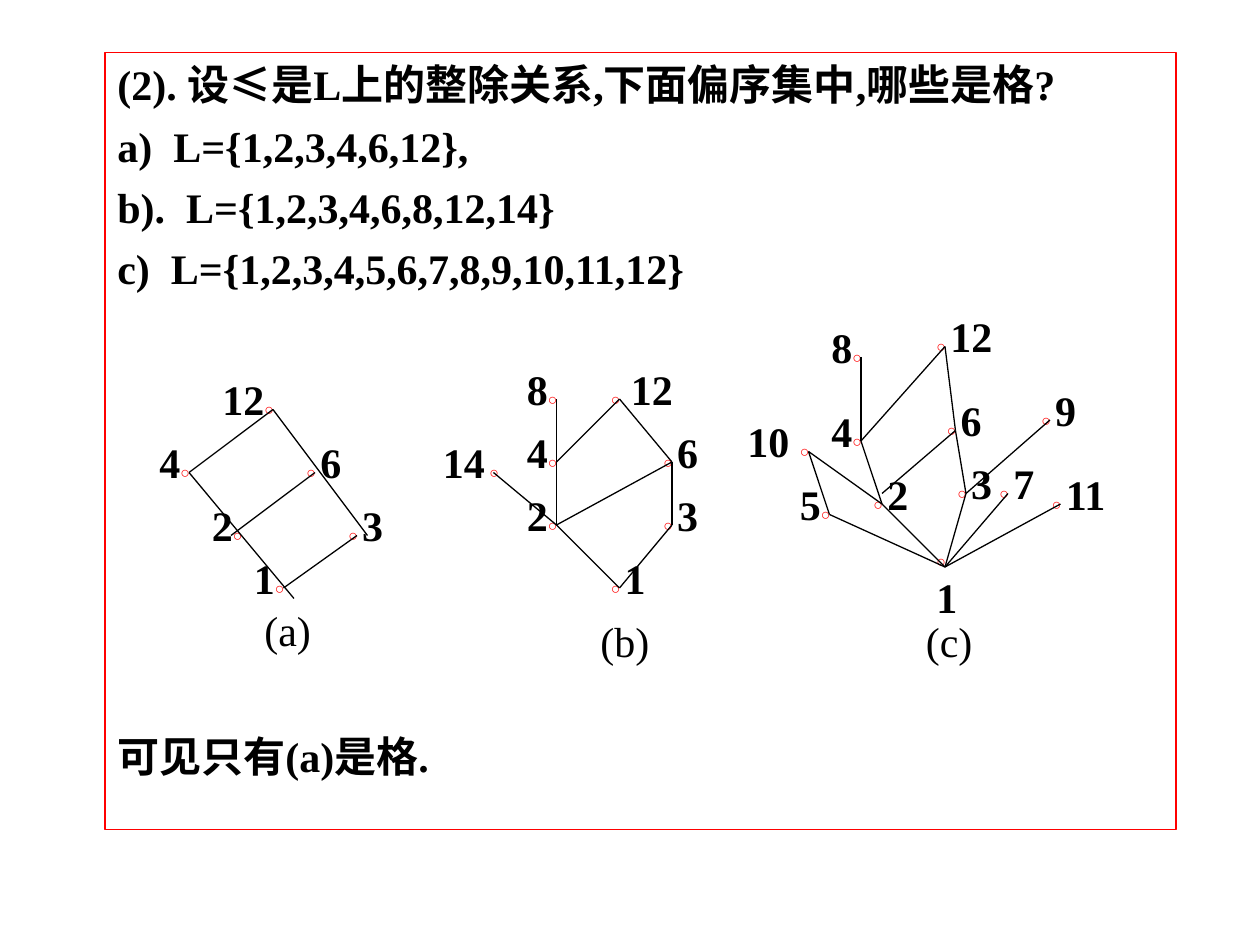
from lxml.etree import SubElement
from pptx import Presentation
from pptx.dml.color import RGBColor
from pptx.enum.shapes import MSO_CONNECTOR
from pptx.enum.text import MSO_ANCHOR, MSO_AUTO_SIZE
from pptx.oxml.ns import qn
from pptx.util import Pt

HUES = {"ink": "000000", "red": "FF0000"}
BOLD = {"name": "Times New Roman", "size": Pt(24), "bold": True}
PLAIN = {**BOLD, "bold": False}
DOT = {"name": "Arial", "size": Pt(9), "bold": True}
FRAME = {"word_wrap": True, "vertical_anchor": MSO_ANCHOR.TOP}
GROW = {**FRAME, "auto_size": MSO_AUTO_SIZE.SHAPE_TO_FIT_TEXT}
FIXED = {**FRAME, "auto_size": MSO_AUTO_SIZE.NONE}

LINES = [
    ("(2). 设≤是L上的整除关系,下面偏序集中,哪些是格?", 0),
    ("a)  L={1,2,3,4,6,12},", 6),
    ("b).  L={1,2,3,4,6,8,12,14}", 6),
    ("c)  L={1,2,3,4,5,6,7,8,9,10,11,12}", 6),
    ("可见只有(a)是格.", 250.3),
]

GRAPHS = [
    {
        "name": ("(a)", 144, 342),
        "dots": {"12": (156, 234), "4": (108, 270), "6": (180, 270),
                 "2": (132, 306), "3": (210, 306), "3b": (204, 306),
                 "1": (162, 336), "1b": (168, 342)},
        "edges": "12-4 2-6 12-3 3b-1 4-1b",
        "tags": [("2|○", 114, 282, 39), ("12|○", 120, 210, 54),
                 ("4|○", 84, 246, 39), ("○ |6", 168, 246, 42),
                 ("1|○", 138, 312, 39), ("○ |3", 192, 282, 39)],
    },
    {
        "name": ("(b)", 336, 348),
        "dots": {"8": (318, 228), "12": (354, 228), "4": (318, 264),
                 "6": (384, 264), "14": (282, 270), "2": (318, 300),
                 "3": (384, 300), "1": (354, 336)},
        "edges": "12-4 12-6 2-1 3-1 6-2 4-2 2-14 6-3 4-8",
        "tags": [("○| 12", 342, 204, 66), ("4|○", 294, 240, 39),
                 ("○ |6", 372, 240, 39), ("2|○", 294, 276, 39),
                 ("○ |3", 372, 276, 39), ("○ |1", 342, 312, 39),
                 ("8|○", 294, 204, 39), ("14| ○", 246, 246, 60)],
    },
    {
        "name": ("(c)", 522, 348),
        "dots": {"8": (492, 204), "12": (540, 198), "4": (492, 252),
                 "6": (546, 246), "9": (600, 240), "10": (462, 258),
                 "5": (474, 294), "2": (504, 288), "2b": (504, 282),
                 "3": (552, 282), "7": (576, 282), "11": (606, 288),
                 "1": (540, 324)},
        "edges": "8-4 12-4 4-2 5-1 3-1 12-6 2b-6 2-1 10-5 10-2 1-7 1-11 6-3 3-9",
        "tags": [("8|○", 468, 180, 39), ("4|○", 468, 228, 60),
                 ("○ |12", 528, 174, 54), ("5|○", 450, 270, 39),
                 ("○ |3", 540, 258, 39), ("○\n1", 528, 312, 39),
                 ("○ |6", 534, 222, 39), ("○ |7", 564, 258, 39),
                 ("○ |2", 492, 264, 39), ("○ |11", 594, 264, 54),
                 ("10 |○", 420, 234, 57), ("○ |9", 588, 216, 39)],
    },
]


def apply(item, form):
    for key, value in form.items():
        setattr(item, key, value)


def hue(name):
    return RGBColor.from_string(HUES[name])


def add_run(para, text, form, tint="ink"):
    run = para.add_run()
    run.text = text
    apply(run.font, form)
    run.font.color.rgb = hue(tint)


def add_box(shapes, x, y, w, h, form):
    box = shapes.add_textbox(Pt(x), Pt(y), Pt(w), Pt(h))
    apply(box.text_frame, form)
    return box


def add_para(frame, index):
    return frame.add_paragraph() if index else frame.paragraphs[0]


def add_body(shapes):
    box = add_box(shapes, 60, 30, 612, 444, FIXED)
    box.line.color.rgb = hue("red")
    box.line.width = Pt(0.75)
    for index, (text, gap) in enumerate(LINES):
        para = add_para(box.text_frame, index)
        props = para._p.get_or_add_pPr()
        props.set("marL", str(Pt(27)))
        props.set("indent", str(Pt(-27)))
        apply(para, {"line_spacing": Pt(28.9), "space_before": Pt(gap)})
        add_run(para, text, BOLD)


def add_tag(shapes, text, x, y, w):
    rows = text.split("\n")
    box = add_box(shapes, x, y, w, 36 if len(rows) == 1 else 47, GROW)
    for index, row in enumerate(rows):
        para = add_para(box.text_frame, index)
        for part in row.split("|"):
            if "○" in part:
                add_run(para, part, DOT, "red")
            else:
                add_run(para, part, BOLD)


def add_edge(shapes, start, end):
    ends = [Pt(v) for v in start + end]
    edge = shapes.add_connector(MSO_CONNECTOR.STRAIGHT, *ends)
    edge.line.color.rgb = hue("ink")
    edge.line.width = Pt(0.75)
    SubElement(edge._element.spPr, qn("a:effectLst"))


def add_graph(shapes, graph):
    parts = shapes.add_group_shape().shapes
    for tag in graph["tags"]:
        add_tag(parts, *tag)
    dots = graph["dots"]
    for pair in graph["edges"].split():
        start, end = pair.split("-")
        add_edge(parts, dots[start], dots[end])
    text, x, y = graph["name"]
    box = add_box(parts, x, y, 48, 36, GROW)
    add_run(box.text_frame.paragraphs[0], text, PLAIN)


def main():
    deck = Presentation()
    apply(deck, {"slide_width": Pt(720), "slide_height": Pt(540)})
    shapes = deck.slides.add_slide(deck.slide_layouts[6]).shapes
    add_body(shapes)
    for graph in GRAPHS:
        add_graph(shapes, graph)
    deck.save("out.pptx")


if __name__ == "__main__":
    main()
